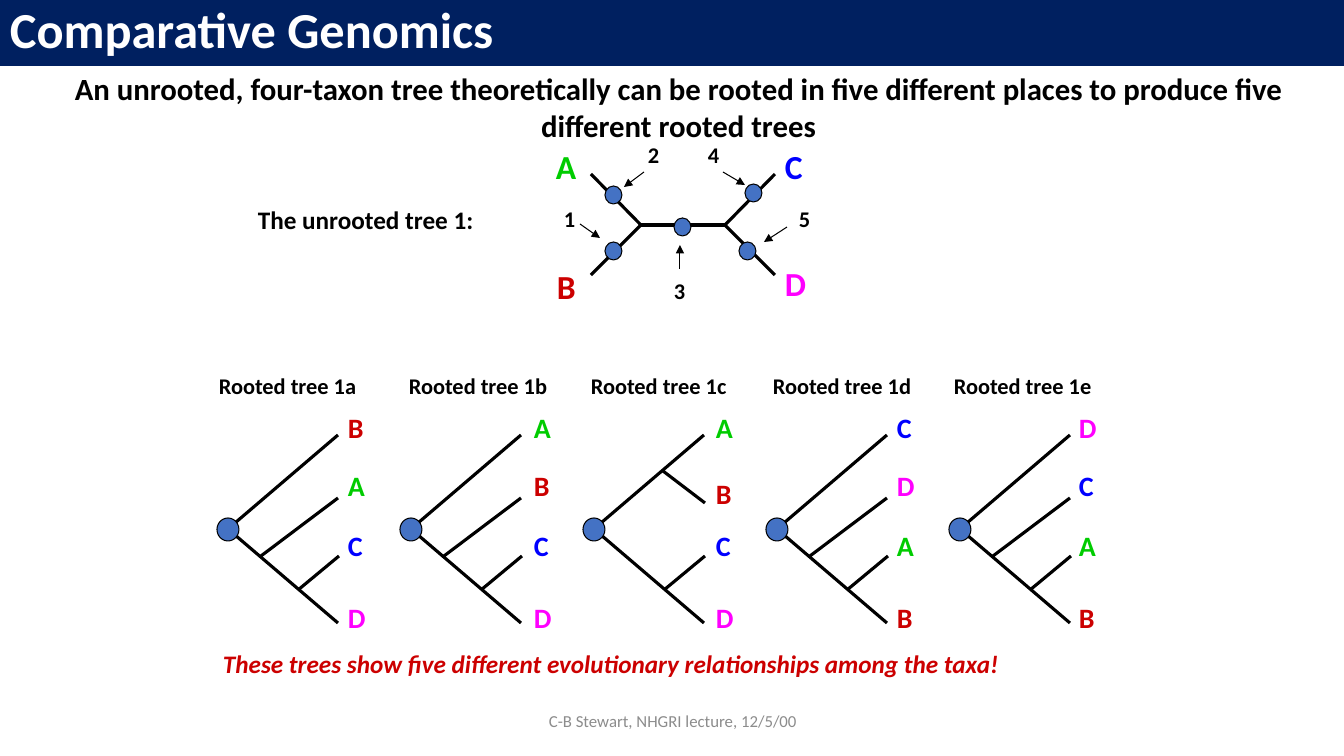
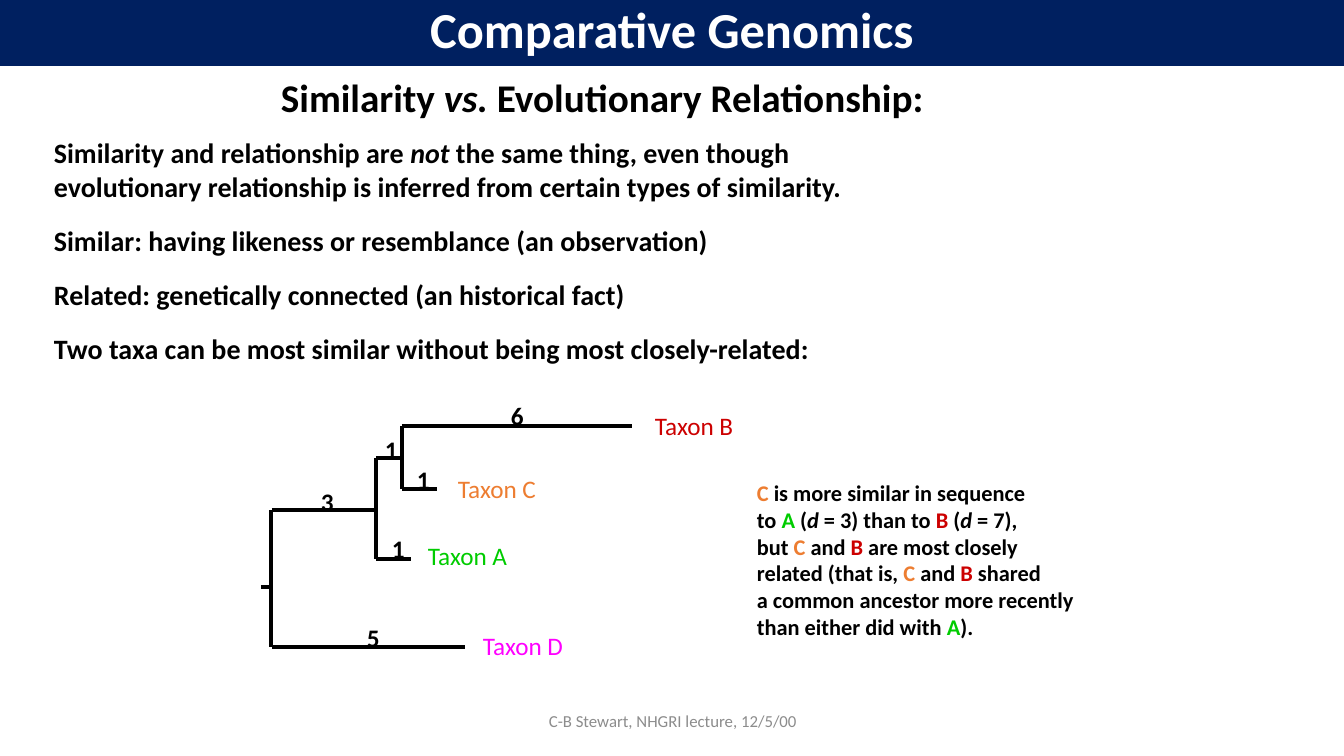
import pptx
import pptx.util
import pptx.dml.color
import pptx.enum.shapes
import pptx.enum.text
import pptx.oxml.ns
from lxml import etree

SLIDE_WIDTH, SLIDE_HEIGHT = 1344, 756
SCALE = 12192000 / SLIDE_WIDTH
FONT = "Calibri"
BLACK, WHITE, GREY = "000000", "FFFFFF", "8C8C8C"
NAVY, BLUE, RED, ORANGE = "002060", "4472C4", "CC0000", "ED7D31"
TAXON_COLORS = {"A": "00CC00", "B": RED, "C": "0000FF", "D": "FF00FF"}
DISTANCE_COLORS = {**TAXON_COLORS, "C": ORANGE}
THICK, THIN = 2.25, 0.75
ALIGN = pptx.enum.text.PP_ALIGN
ANCHOR = pptx.enum.text.MSO_ANCHOR

TITLE = "Comparative Genomics"
FOOTER = "C-B Stewart, NHGRI lecture, 12/5/00"

# Slide 1: the unrooted tree
ROOTING_HEADING = ("An unrooted, four-taxon tree theoretically can be rooted in five "
                   "different places to produce five different rooted trees")
UNROOTED_FORKS = [[(591, 174), (641, 225), (591, 275)], [(775, 174), (725, 225), (775, 275)]]
UNROOTED_STEM = (641, 225, 725, 225)
UNROOTED_TAXA = [("A", 546, 141), ("B", 547, 261), ("C", 775, 141), ("D", 775, 258)]
# number, its place, dot place, arrow
ROOT_PLACES = [
    ("1", (554, 200), (605, 242), (580, 224, 600, 238)),
    ("2", (638, 136), (605, 186), (644, 172, 624, 187)),
    ("3", (664, 272), (674, 218), (680, 269, 680, 245)),
    ("4", (698, 136), (745, 184), (723, 172, 745, 185)),
    ("5", (789, 200), (739, 242), (787, 227, 764, 242)),
]

# Slide 1: the rooted trees, with x measured from the left of each tree
TREE_LEFT, TREE_PITCH = 217, 183
ROOT_FORK = [(121, 435), (11, 529), (121, 623)]
LOWER_TWIG = (81, 590, 122, 556)
LADDER = {"twigs": [(44, 556, 121, 498), LOWER_TWIG], "tops": (406, 464, 524, 596)}
PAIRS = {"twigs": [(80, 471, 122, 503), LOWER_TWIG], "tops": (406, 472, 524, 596)}
# name, name left, taxa from the top, taxa left, form
ROOTED_TREES = [
    ("Rooted tree 1a", 209, "BACD", 338, LADDER),
    ("Rooted tree 1b", 399, "ABCD", 524, LADDER),
    ("Rooted tree 1c", 581, "ABCD", 706, PAIRS),
    ("Rooted tree 1d", 763, "CDAB", 887, LADDER),
    ("Rooted tree 1e", 944, "DCAB", 1069, LADDER),
]
ROOTING_CONCLUSION = "These trees show five different evolutionary relationships among the taxa!"

# Slide 2: a run is a string or (string, style)
ITALIC = {"italic": True}
SIMILARITY_HEADING = [["Similarity ", ("vs.", ITALIC), " Evolutionary Relationship:"]]
DEFINITIONS = [
    ["Similarity and relationship are ", ("not", ITALIC), " the same thing, even though", "\n",
     "evolutionary relationship is inferred from certain types of similarity."],
    ["Similar: having likeness or resemblance (an observation)"],
    ["Related: genetically connected (an historical fact)"],
    ["Two taxa can be most similar without being most closely-related:"],
]
DISTANCE_BRANCHES = [
    (402, 426, 632, 426), (402, 489, 437, 489), (402, 426, 402, 489),
    (376, 458, 402, 458), (376, 559, 411, 559), (376, 458, 376, 559),
    (272, 510, 374, 510), (272, 647, 465, 647), (271, 510, 271, 647),
    (261, 587, 271, 587),
]
DISTANCE_TAXA = [("A", 418, 535), ("B", 645, 405), ("C", 448, 468), ("D", 473, 625)]
BRANCH_LENGTHS = [("1", 407, 459), ("1", 375, 429), ("1", 382, 528),
                  ("6", 501, 395), ("3", 311, 481), ("5", 357, 617)]
RUN_A, RUN_B, RUN_C = [(taxon, {"color": DISTANCE_COLORS[taxon]}) for taxon in "ABC"]
RUN_D = ("d", ITALIC)
DISTANCE_NOTE = [
    [RUN_C, " is more similar in sequence"],
    ["to ", RUN_A, " (", RUN_D, " = 3) than to ", RUN_B, " (", RUN_D, " = 7),"],
    ["but ", RUN_C, " and ", RUN_B, " are most closely"],
    ["related (that is, ", RUN_C, " and ", RUN_B, " shared"],
    ["a common ancestor more recently"],
    ["than either did with ", RUN_A, ")."],
]


def px(length):
    return pptx.util.Emu(round(length * SCALE))


def rgb(color):
    return pptx.dml.color.RGBColor.from_string(color)


def write(shape, paragraphs, size, color=BLACK, bold=True, italic=False,
          align=ALIGN.LEFT, anchor=ANCHOR.TOP, gap=0, spacing=None):
    """Fill a shape with one string or a list of paragraphs, each a list of runs."""
    if isinstance(paragraphs, str):
        paragraphs = [[paragraphs]]
    frame = shape.text_frame
    frame.word_wrap = True
    frame.vertical_anchor = anchor
    for index, runs in enumerate(paragraphs):
        paragraph = frame.add_paragraph() if index else frame.paragraphs[0]
        paragraph.alignment = align
        if spacing:
            paragraph.line_spacing = spacing
        if index and gap:
            paragraph.space_before = pptx.util.Pt(gap)
        for item in runs:
            if item == "\n":
                paragraph.add_line_break()
                continue
            words, style = (item, {}) if isinstance(item, str) else item
            run = paragraph.add_run()
            run.text = words
            run.font.name = FONT
            run.font.size = pptx.util.Pt(size)
            run.font.bold = bold
            run.font.italic = style.get("italic", italic)
            run.font.color.rgb = rgb(style.get("color", color))


def add_text(slide, left, top, width, height, paragraphs, size, **style):
    box = slide.shapes.add_textbox(px(left), px(top), px(width), px(height))
    write(box, paragraphs, size, **style)


def set_line(shape, width, color=BLACK):
    shape.line.color.rgb = rgb(color)
    shape.line.width = pptx.util.Pt(width)


def add_line(slide, x1, y1, x2, y2, width=THICK, arrow=False):
    connector = slide.shapes.add_connector(
        pptx.enum.shapes.MSO_CONNECTOR.STRAIGHT, px(x1), px(y1), px(x2), px(y2))
    set_line(connector, width)
    if arrow:
        line = connector.line._get_or_add_ln()
        etree.SubElement(line, pptx.oxml.ns.qn("a:tailEnd"), type="triangle")
    etree.SubElement(connector._element.spPr, pptx.oxml.ns.qn("a:effectLst"))


def add_fork(slide, points):
    builder = slide.shapes.build_freeform(*points[0], scale=SCALE)
    builder.add_line_segments(points[1:], close=False)
    fork = builder.convert_to_shape()
    fork.shadow.inherit = False
    fork.fill.background()
    set_line(fork, THICK)


def add_filled(slide, kind, left, top, width, height, fill, line_color, line_width):
    shape = slide.shapes.add_shape(kind, px(left), px(top), px(width), px(height))
    shape.shadow.inherit = False
    shape.fill.solid()
    shape.fill.fore_color.rgb = rgb(fill)
    set_line(shape, line_width, line_color)
    return shape


def add_dot(slide, left, top, width, height):
    add_filled(slide, pptx.enum.shapes.MSO_SHAPE.OVAL, left, top, width, height,
               BLUE, BLACK, THIN)


def add_slide(presentation, title_align):
    """Add a slide with the title band and the footer."""
    slide = presentation.slides.add_slide(presentation.slide_layouts[6])
    band = add_filled(slide, pptx.enum.shapes.MSO_SHAPE.RECTANGLE,
                      0, 0, SLIDE_WIDTH, 65, NAVY, NAVY, THICK)
    write(band, TITLE, 36, color=WHITE, align=title_align, spacing=0.9)
    add_text(slide, 446, 701, 454, 40, FOOTER, 12, color=GREY, bold=False,
             align=ALIGN.CENTER, anchor=ANCHOR.MIDDLE)
    return slide


def add_unrooted_tree(slide):
    add_text(slide, 248, 199, 269, 40, "The unrooted tree 1:", 18)
    for points in UNROOTED_FORKS:
        add_fork(slide, points)
    add_line(slide, *UNROOTED_STEM)
    for taxon, left, top in UNROOTED_TAXA:
        add_text(slide, left, top, 42, 50, taxon, 24, color=TAXON_COLORS[taxon])
    for number, place, dot, arrow in ROOT_PLACES:
        add_dot(slide, *dot, 17, 18)
        add_text(slide, *place, 34, 37, number, 16)
        add_line(slide, *arrow, width=THIN, arrow=True)


def add_rooted_tree(slide, left, name, name_left, taxa, taxa_left, form):
    add_text(slide, name_left, 367, 162, 37, name, 16)
    add_fork(slide, [(left + x, y) for x, y in ROOT_FORK])
    for x1, y1, x2, y2 in form["twigs"]:
        add_line(slide, left + x1, y1, left + x2, y2)
    add_dot(slide, left, 518, 22, 23)
    for taxon, top in zip(taxa, form["tops"]):
        add_text(slide, taxa_left, top, 40, 44, taxon, 20, color=TAXON_COLORS[taxon])


def build_rooting_slide(presentation):
    slide = add_slide(presentation, ALIGN.LEFT)
    add_text(slide, 53, 65, 1251, 84, ROOTING_HEADING, 22, align=ALIGN.CENTER)
    add_unrooted_tree(slide)
    for index, tree in enumerate(ROOTED_TREES):
        add_rooted_tree(slide, TREE_LEFT + index * TREE_PITCH, *tree)
    add_text(slide, 213, 643, 917, 40, ROOTING_CONCLUSION, 18, color=RED, italic=True)


def build_similarity_slide(presentation):
    slide = add_slide(presentation, ALIGN.CENTER)
    add_text(slide, 271, 68, 688, 57, SIMILARITY_HEADING, 28)
    add_text(slide, 44, 131, 1235, 241, DEFINITIONS, 20, gap=14.5)
    for branch in DISTANCE_BRANCHES:
        add_line(slide, *branch)
    for taxon, left, top in DISTANCE_TAXA:
        add_text(slide, left, top, 104, 40, f"Taxon {taxon}", 18,
                 color=DISTANCE_COLORS[taxon], bold=False)
    for length, left, top in BRANCH_LENGTHS:
        add_text(slide, left, top, 34, 40, length, 18)
    add_text(slide, 747, 474, 350, 173, DISTANCE_NOTE, 16)


def main():
    presentation = pptx.Presentation()
    presentation.slide_width = px(SLIDE_WIDTH)
    presentation.slide_height = px(SLIDE_HEIGHT)
    build_rooting_slide(presentation)
    build_similarity_slide(presentation)
    presentation.save("out.pptx")


if __name__ == "__main__":
    main()
